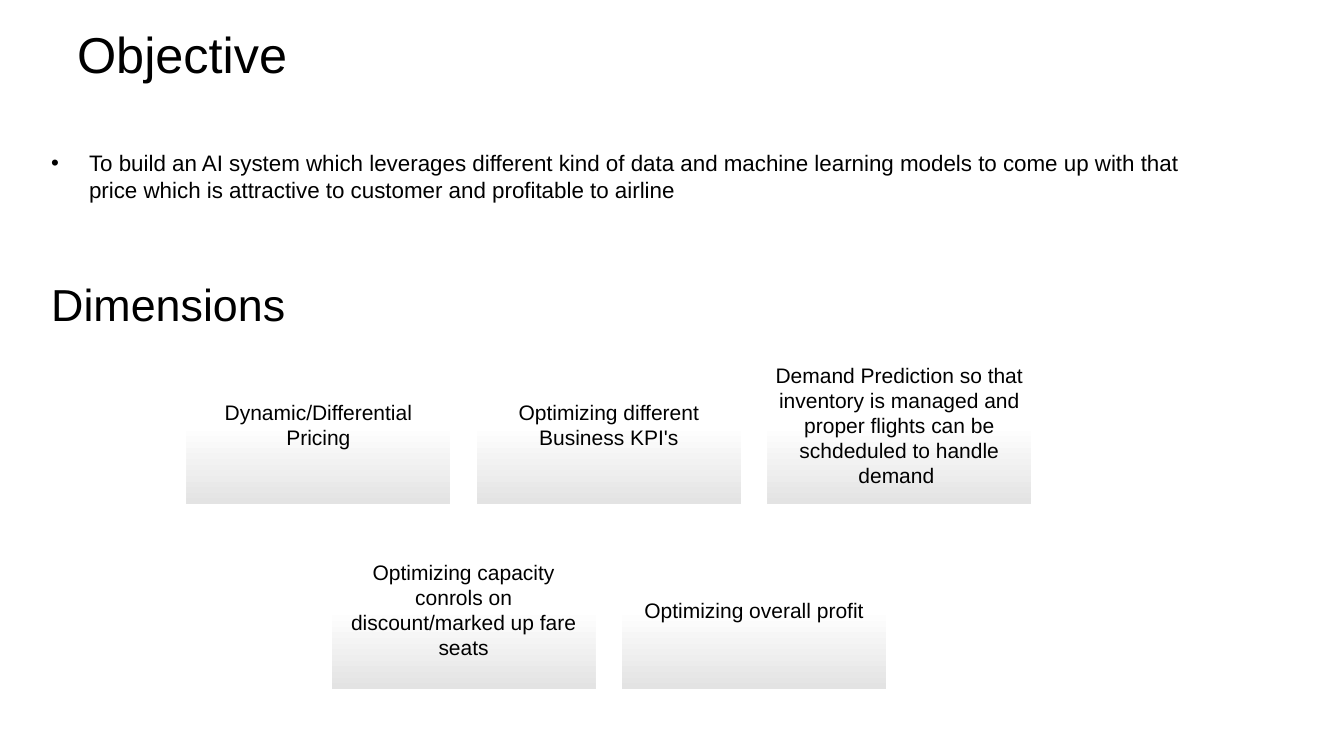
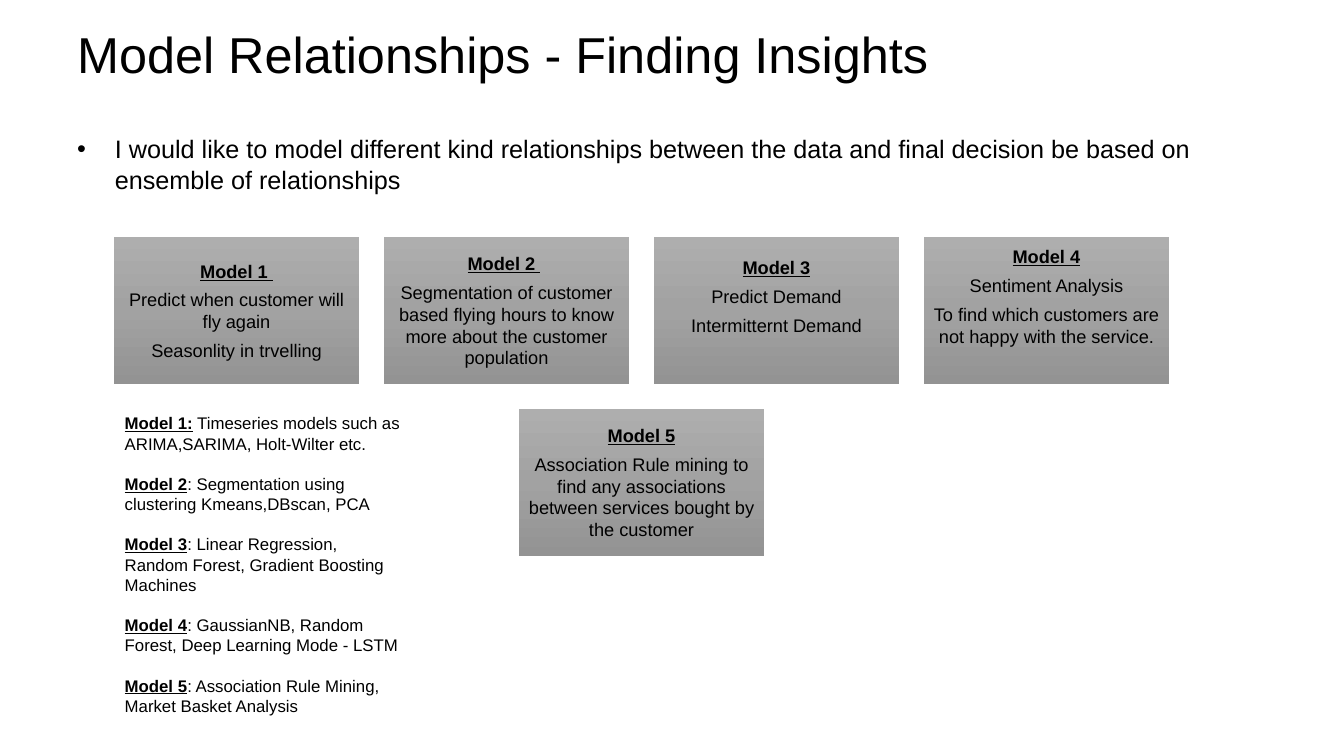
from dataclasses import dataclass
from typing import NamedTuple

from lxml.etree import SubElement
from pptx import Presentation
from pptx.dml.color import RGBColor
from pptx.enum.shapes import MSO_SHAPE
from pptx.enum.text import MSO_ANCHOR, PP_ALIGN
from pptx.oxml.ns import qn
from pptx.util import Pt

COLORS = {
    "text": "000000",
    "white": "FFFFFF",
    "mist": "E3E3E3",
    "silver": "AEAEAE",
    "steel": "A2A2A2",
    "slate": "939393",
}
PALE = ("white", "white", "mist")
GRAY = ("silver", "steel", "slate")
FONT = "Arial"
HEADING = {"bold": True, "underline": True}
BULLET_INDENT = 27


class Box(NamedTuple):
    left: float
    top: float
    width: float
    height: float


class Run(NamedTuple):
    text: str
    style: dict = {}


@dataclass
class Para:
    runs: list[Run]
    size: float
    before: float = 0
    after: float = 0
    bullet: bool = False
    align: PP_ALIGN = PP_ALIGN.LEFT


@dataclass
class Card:
    paras: list[list[Run]]
    tail: float = 0


@dataclass
class Grid:
    center: float
    top: float
    width: float
    size: float
    inset: float
    gap_after: float
    stops: tuple
    columns: int


def add_bullet(p) -> None:
    pPr = p._p.get_or_add_pPr()
    pPr.set("marL", str(Pt(BULLET_INDENT)))
    pPr.set("indent", str(-Pt(BULLET_INDENT)))
    SubElement(pPr, qn("a:buFont"), typeface=FONT)
    SubElement(pPr, qn("a:buChar"), char="•")


def fill_text(tf, paras: list[Para]) -> None:
    tf.word_wrap = True
    for i, para in enumerate(paras):
        p = tf.add_paragraph() if i else tf.paragraphs[0]
        formats = {
            "alignment": para.align,
            "space_before": Pt(para.before),
            "space_after": Pt(para.after),
        }
        for name, value in formats.items():
            setattr(p, name, value)
        if para.bullet:
            add_bullet(p)
        for run in para.runs:
            r = p.add_run()
            r.text = run.text
            for name, value in {"name": FONT, "size": Pt(para.size), **run.style}.items():
                setattr(r.font, name, value)
            r.font.color.rgb = RGBColor.from_string(COLORS["text"])


def add_text(s, box: Box, paras: list[Para], anchor=MSO_ANCHOR.TOP) -> None:
    tf = s.shapes.add_textbox(*map(Pt, box)).text_frame
    tf.vertical_anchor = anchor
    fill_text(tf, paras)


def add_title(s, text: str) -> None:
    add_text(s, Box(48, 15, 864, 46), [Para([Run(text)], 36)], MSO_ANCHOR.MIDDLE)


def fill_gradient(sp, stops: tuple) -> None:
    sp.fill.gradient()
    sp.fill.gradient_angle = 270
    gs_list = sp._element.spPr.find(".//" + qn("a:gsLst"))
    gs_list.clear()
    for i, name in enumerate(stops):
        gs = SubElement(gs_list, qn("a:gs"), pos=str(100000 * i // (len(stops) - 1)))
        SubElement(gs, qn("a:srgbClr"), val=COLORS[name])


def add_card(s, box: Box, card: Card, grid: Grid) -> None:
    sp = s.shapes.add_shape(MSO_SHAPE.RECTANGLE, *map(Pt, box))
    sp.shadow.inherit = False
    sp.line.fill.background()
    fill_gradient(sp, grid.stops)
    tf = sp.text_frame
    formats = {
        "vertical_anchor": MSO_ANCHOR.MIDDLE,
        "margin_left": Pt(grid.inset),
        "margin_right": Pt(grid.inset),
        "margin_top": Pt(grid.inset),
        "margin_bottom": Pt(grid.inset + card.tail),
    }
    for name, value in formats.items():
        setattr(tf, name, value)
    fill_text(tf, [Para(runs, grid.size, after=grid.gap_after, align=PP_ALIGN.CENTER)
                   for runs in card.paras])


def add_cards(s, cards: list[Card], grid: Grid) -> None:
    height = grid.width * 0.6
    gap = grid.width * 0.1
    for start in range(0, len(cards), grid.columns):
        row = cards[start:start + grid.columns]
        left = grid.center - (len(row) * (grid.width + gap) - gap) / 2
        top = grid.top + start // grid.columns * (height + gap)
        for i, card in enumerate(row):
            box = Box(left + i * (grid.width + gap), top, grid.width, height)
            add_card(s, box, card, grid)


def model_card(heading: list[Run], *lines: str, tail: float = 0) -> Card:
    return Card([heading] + [[Run(line)] for line in lines], tail)


def build_objective(s) -> None:
    add_title(s, "Objective")
    add_text(s, Box(29.5, 103, 856, 366.5), [
        Para([Run("To build an AI system which leverages different kind of data and machine "
                  "learning models to come up with that price which is attractive to customer "
                  "and profitable to airline")], 16, before=2, bullet=True),
        Para([Run("Dimensions")], 32, before=53),
    ])
    dimensions = [
        "Dynamic/Differential Pricing",
        "Optimizing different Business KPI's",
        "Demand Prediction so that inventory is managed and proper flights can be "
        "schdeduled to handle demand ",
        "Optimizing capacity conrols on discount/marked up fare seats",
        "Optimizing overall profit",
    ]
    add_cards(s, [Card([[Run(text)]]) for text in dimensions],
              Grid(center=434.9, top=247, width=188.6, size=15, inset=4.5,
                   gap_after=5.5, stops=PALE, columns=3))


def build_models(s) -> None:
    blank_line = 20.4
    cards = [
        model_card([Run("Model 1", HEADING), Run(" ", {"underline": True})],
                   "Predict when customer will fly again", "Seasonlity in trvelling"),
        model_card([Run("Model 2 ", HEADING), Run(" ")],
                   "Segmentation of customer based flying hours to know more about the "
                   "customer population"),
        model_card([Run("Model 3", HEADING)],
                   "Predict Demand", "Intermitternt Demand", tail=blank_line),
        model_card([Run("Model 4", HEADING)], "Sentiment Analysis",
                   "To find which customers are not happy with the service.",
                   tail=blank_line),
        model_card([Run("Model 5", HEADING)],
                   "Association Rule mining to find any associations between services "
                   "bought by the customer"),
    ]
    add_cards(s, cards, Grid(center=458.2, top=169.2, width=175.3, size=13, inset=3.9,
                             gap_after=4.9, stops=GRAY, columns=4))
    add_title(s, "Model Relationships - Finding Insights ")
    add_text(s, Box(48, 92, 864, 63.5), [
        Para([Run("I would like to model different kind relationships between the data and "
                  "final decision be based on ensemble of relationships ")],
             18, before=2, bullet=True),
    ])
    techniques = [
        ("Model 1:", " Timeseries models such as ARIMA,SARIMA, Holt-Wilter etc."),
        ("Model 2", ": Segmentation using clustering Kmeans,DBscan, PCA"),
        ("Model 3", ": Linear Regression, Random Forest, Gradient Boosting Machines "),
        ("Model 4", ": GaussianNB, Random Forest, Deep Learning Mode - LSTM"),
        ("Model 5", ": Association Rule Mining, Market Basket Analysis "),
    ]
    add_text(s, Box(82, 291.6, 212.4, 225.4),
             [Para([Run(name, HEADING), Run(text)], 12, after=14.4)
              for name, text in techniques])


prs = Presentation()
prs.slide_width, prs.slide_height = Pt(960), Pt(540)
for build in (build_objective, build_models):
    build(prs.slides.add_slide(prs.slide_layouts[6]))
prs.save("out.pptx")
